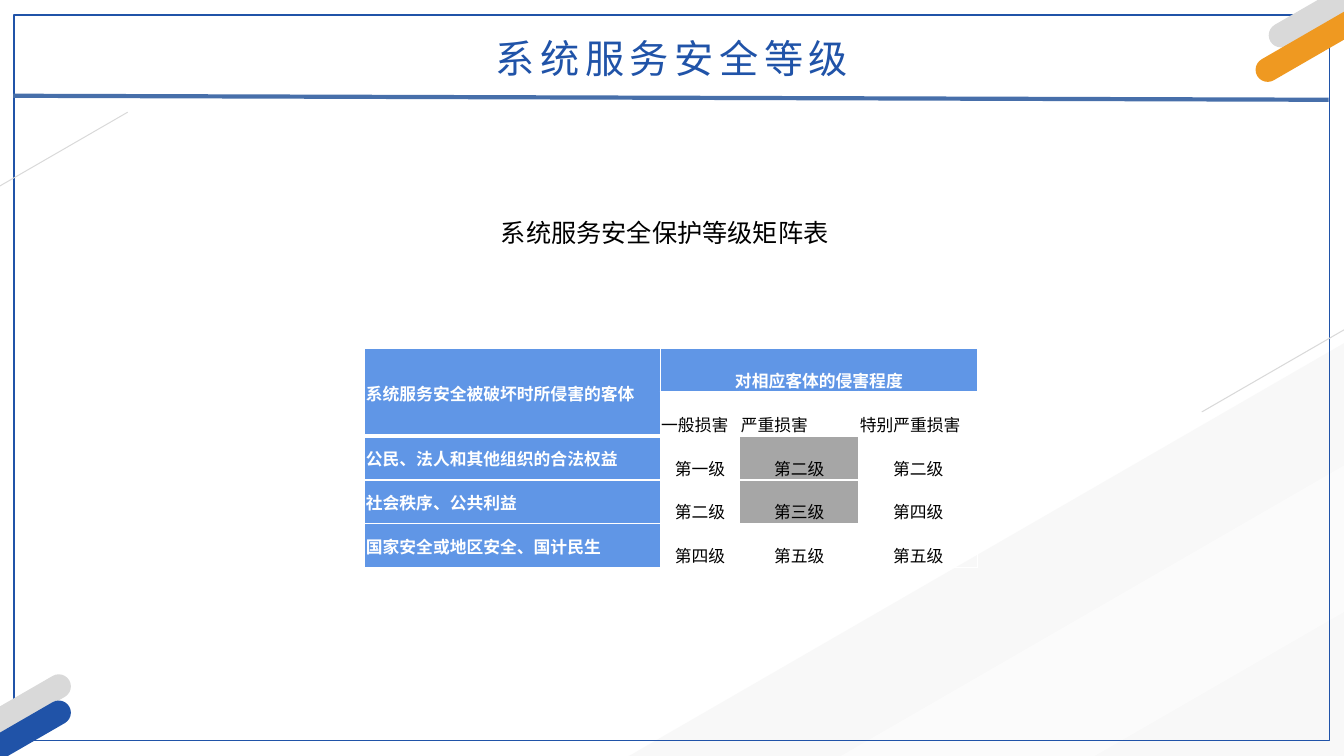
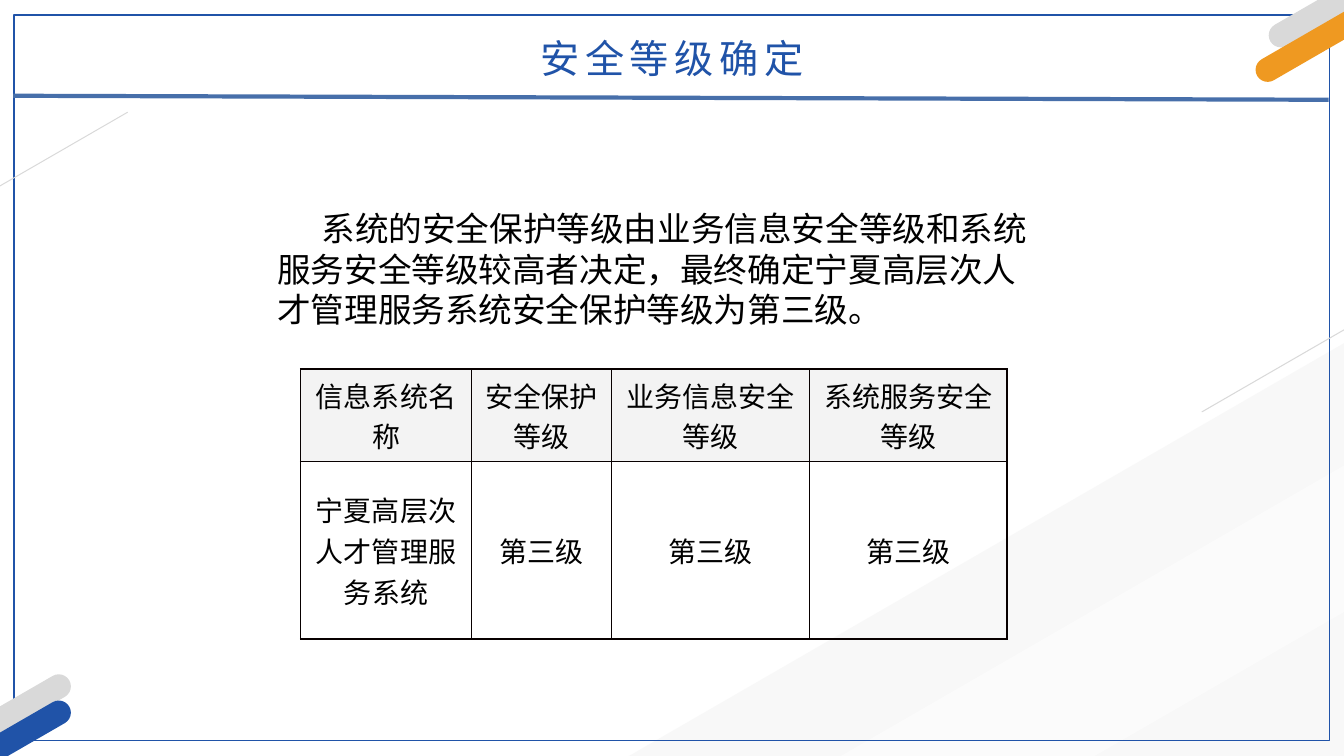
from lxml import etree
from pptx import Presentation
from pptx.dml.color import RGBColor
from pptx.enum.shapes import MSO_CONNECTOR, MSO_SHAPE
from pptx.enum.text import MSO_ANCHOR, MSO_AUTO_SIZE, PP_ALIGN
from pptx.oxml.ns import qn
from pptx.util import Pt

ROUNDED = MSO_SHAPE.ROUNDED_RECTANGLE
RECTANGLE = MSO_SHAPE.RECTANGLE
STRAIGHT = MSO_CONNECTOR.STRAIGHT
TOP, MIDDLE, BOTTOM = MSO_ANCHOR.TOP, MSO_ANCHOR.MIDDLE, MSO_ANCHOR.BOTTOM
LEFT, CENTER, JUSTIFY = PP_ALIGN.LEFT, PP_ALIGN.CENTER, PP_ALIGN.JUSTIFY
NO_AUTOFIT = MSO_AUTO_SIZE.NONE

WHITE = RGBColor(0xFF, 0xFF, 0xFF)
BLACK = RGBColor(0x00, 0x00, 0x00)
NAVY = RGBColor(0x20, 0x53, 0xA8)
RULE_BLUE = RGBColor(0x47, 0x6F, 0xAA)
ORANGE = RGBColor(0xEF, 0x99, 0x21)
SILVER = RGBColor(0xD9, 0xD9, 0xD9)
PALE = RGBColor(0xF2, 0xF2, 0xF2)
HEADER_BLUE = RGBColor(0x60, 0x96, 0xE6)
HIGHLIGHT = RGBColor(0xA6, 0xA6, 0xA6)
HEADER_GRAY = RGBColor(0xF3, 0xF3, 0xF3)
GRID_BLACK = RGBColor(0x08, 0x00, 0x00)

SANS = "Noto Sans CJK SC"
ARIAL = "Arial"
TIMES = "Times New Roman"

SLIDE_WIDTH, SLIDE_HEIGHT = 960, 540
TITLE_BOX = (0, 20.88, SLIDE_WIDTH, 41.04)
FRAME_BOX = (10.08, 10.8, 939.6, 518.4)
RULE_ENDS = (9.36, 68.4, 948.96, 71.28)
BACK_BARS = [
    ((239.04, 397.44, 996.48, 306.72), PALE),
    ((272.88, 448.56, 996.48, 90.72), WHITE),
]
FRONT_BARS = [
    ((882.72, -71.28, 368.64, 17.28), SILVER),
    ((866.88, -70.56, 464.4, 17.28), ORANGE),
    ((-342, 195.84, 464.4, 0.72), SILVER),
    ((-294.48, 569.52, 368.64, 17.28), SILVER),
    ((-294.48, 588.24, 368.64, 17.28), NAVY),
    ((827.28, 177.84, 464.4, 0.72), SILVER),
]


def add_bar(slide, box, color, alpha=None):
    shape = slide.shapes.add_shape(ROUNDED, *map(Pt, box))
    shape.adjustments[0] = 0.5
    shape.rotation = 330
    shape.shadow.inherit = False
    shape.fill.solid()
    shape.fill.fore_color.rgb = color
    shape.line.fill.background()
    if alpha:
        color_element = shape.element.spPr.find(".//" + qn("a:srgbClr"))
        etree.SubElement(color_element, qn("a:alpha"), val=str(alpha * 1000))
    return shape


def add_frame(slide, box):
    frame = slide.shapes.add_shape(RECTANGLE, *map(Pt, box))
    frame.shadow.inherit = False
    frame.fill.background()
    frame.line.color.rgb = NAVY
    frame.line.width = Pt(1)
    return frame


def add_rule(slide, ends):
    rule = slide.shapes.add_connector(STRAIGHT, *map(Pt, ends))
    rule.line.color.rgb = RULE_BLUE
    rule.line.width = Pt(3)
    etree.SubElement(rule.element.spPr, qn("a:effectLst"))
    return rule


def decorate_layout(slide):
    parts = [add_bar(slide, box, color, alpha=49) for box, color in BACK_BARS]
    parts.append(add_frame(slide, FRAME_BOX))
    parts += [add_bar(slide, box, color) for box, color in FRONT_BARS]
    parts.append(add_rule(slide, RULE_ENDS))
    for number, part in enumerate(parts, start=101):
        part.element.find(".//" + qn("p:cNvPr")).set("id", str(number))
        slide.slide_layout.shapes.element.append(part.element)


def format_paragraph(paragraph, name, size, color, align=LEFT, bold=False):
    paragraph.alignment = align
    font = paragraph.font
    font.name, font.size, font.bold = name, Pt(size), bold
    font.color.rgb = color
    properties = paragraph._p.pPr.find(qn("a:defRPr"))
    etree.SubElement(properties, qn("a:ea"), typeface=SANS)
    return properties


def fill_placeholder(shape, box, text, anchor, inset):
    shape.left, shape.top, shape.width, shape.height = map(Pt, box)
    frame = shape.text_frame
    frame.text = text
    frame.word_wrap = True
    frame.auto_size = NO_AUTOFIT
    frame.vertical_anchor = anchor
    frame.margin_left = frame.margin_right = Pt(inset)
    frame.margin_top = frame.margin_bottom = Pt(inset / 2)
    return frame.paragraphs[0]


def add_title(slide, text):
    paragraph = fill_placeholder(slide.shapes.title, TITLE_BOX, text, MIDDLE, 0)
    format_paragraph(paragraph, SANS, 28, NAVY, CENTER).set("spc", "400")


def add_body(slide, box, text, name, size, anchor=TOP, indent=0, spacing=None):
    paragraph = fill_placeholder(slide.placeholders[1], box, text, anchor, 7.2)
    paragraph.space_before = Pt(0)
    if spacing:
        paragraph.line_spacing = Pt(spacing)
    properties = paragraph._p.get_or_add_pPr()
    properties.set("marL", "0")
    properties.set("indent", str(Pt(indent)))
    etree.SubElement(properties, qn("a:buNone"))
    format_paragraph(paragraph, name, size, BLACK)


def add_grid(slide, left, top, widths, heights):
    table = slide.shapes.add_table(
        len(heights), len(widths), Pt(left), Pt(top), Pt(sum(widths)), Pt(sum(heights))
    ).table
    table.first_row = table.horz_banding = False
    for column, width in zip(table.columns, widths):
        column.width = Pt(width)
    for row, height in zip(table.rows, heights):
        row.height = Pt(height)
    return table


def style_cell(cell, fill, border, margins, anchor, bottom_width=1):
    properties = cell._tc.get_or_add_tcPr()
    for side in "LRTB":
        width = bottom_width if side == "B" else 1
        line = etree.SubElement(properties, qn("a:ln" + side), w=str(Pt(width)))
        solid = etree.SubElement(line, qn("a:solidFill"))
        etree.SubElement(solid, qn("a:srgbClr"), val=str(border))
    if fill is None:
        cell.fill.background()
    else:
        cell.fill.solid()
        cell.fill.fore_color.rgb = fill
    cell.margin_left, cell.margin_top, cell.margin_right, cell.margin_bottom = map(Pt, margins)
    cell.vertical_anchor = anchor


def add_matrix_table(slide, left, top):
    rows = [
        ["系统服务安全被破坏时所侵害的客体", "对相应客体的侵害程度", "", ""],
        ["", "一般损害", "严重损害", "特别严重损害"],
        ["公民、法人和其他组织的合法权益", "第一级", "第二级", "第二级"],
        ["社会秩序、公共利益", "第二级", "第三级", "第四级"],
        ["国家安全或地区安全、国计民生", "第四级", "第五级", "第五级"],
    ]
    highlighted = {(2, 2), (3, 2)}
    table = add_grid(slide, left, top, [210.96, 56.88, 84.96, 84.96], [31.25] * len(rows))
    table.cell(0, 0).merge(table.cell(1, 0))
    table.cell(0, 1).merge(table.cell(0, 3))
    for r, row in enumerate(rows):
        for c, text in enumerate(row):
            cell = table.cell(r, c)
            heading = r == 0 or c == 0
            fill = HEADER_BLUE if heading else HIGHLIGHT if (r, c) in highlighted else None
            thick = r == 0 or (r, c) == (1, 0)
            style_cell(cell, fill, WHITE, (0.72, 0.72, 0.72, 0),
                       MIDDLE if c == 0 else BOTTOM, 3 if thick else 1)
            if text:
                cell.text = text
                align = JUSTIFY if c == 0 else LEFT if r == 1 else CENTER
                format_paragraph(cell.text_frame.paragraphs[0], ARIAL, 12,
                                 WHITE if heading else BLACK, align, heading)


def add_result_table(slide, left, top):
    rows = [
        ["信息系统名称", "安全保护等级", "业务信息安全等级", "系统服务安全等级"],
        ["宁夏高层次人才管理服务系统", "第三级", "第三级", "第三级"],
    ]
    table = add_grid(slide, left, top, [122.4, 100.08, 141.12, 141.12], [66.24, 126.72])
    for r, row in enumerate(rows):
        for c, text in enumerate(row):
            cell = table.cell(r, c)
            style_cell(cell, None if r else HEADER_GRAY, GRID_BLACK, (5.04, 0, 5.04, 0), MIDDLE)
            cell.text = text
            name = ARIAL if (r, c) == (1, 0) else SANS
            format_paragraph(cell.text_frame.paragraphs[0], name, 20, BLACK, CENTER)


def build_matrix_slide(slide):
    add_title(slide, "系统服务安全等级")
    add_body(slide, (350.64, 151.92, 257.76, 28.8), "系统服务安全保护等级矩阵表",
             TIMES, 18, anchor=MIDDLE)
    add_matrix_table(slide, 260.64, 249.12)


def build_result_slide(slide):
    add_title(slide, "安全等级确定")
    add_body(slide, (190.8, 145.44, 551.52, 100.08),
             "系统的安全保护等级由业务信息安全等级和系统服务安全等级较高者决定，"
             "最终确定宁夏高层次人才管理服务系统安全保护等级为第三级。",
             ARIAL, 24, indent=31.68, spacing=28.6)
    add_result_table(slide, 214.56, 263.52)


def main():
    presentation = Presentation()
    presentation.slide_width = Pt(SLIDE_WIDTH)
    presentation.slide_height = Pt(SLIDE_HEIGHT)
    layout = presentation.slide_layouts[1]
    matrix_slide = presentation.slides.add_slide(layout)
    decorate_layout(matrix_slide)
    build_matrix_slide(matrix_slide)
    build_result_slide(presentation.slides.add_slide(layout))
    presentation.save("out.pptx")


if __name__ == "__main__":
    main()
